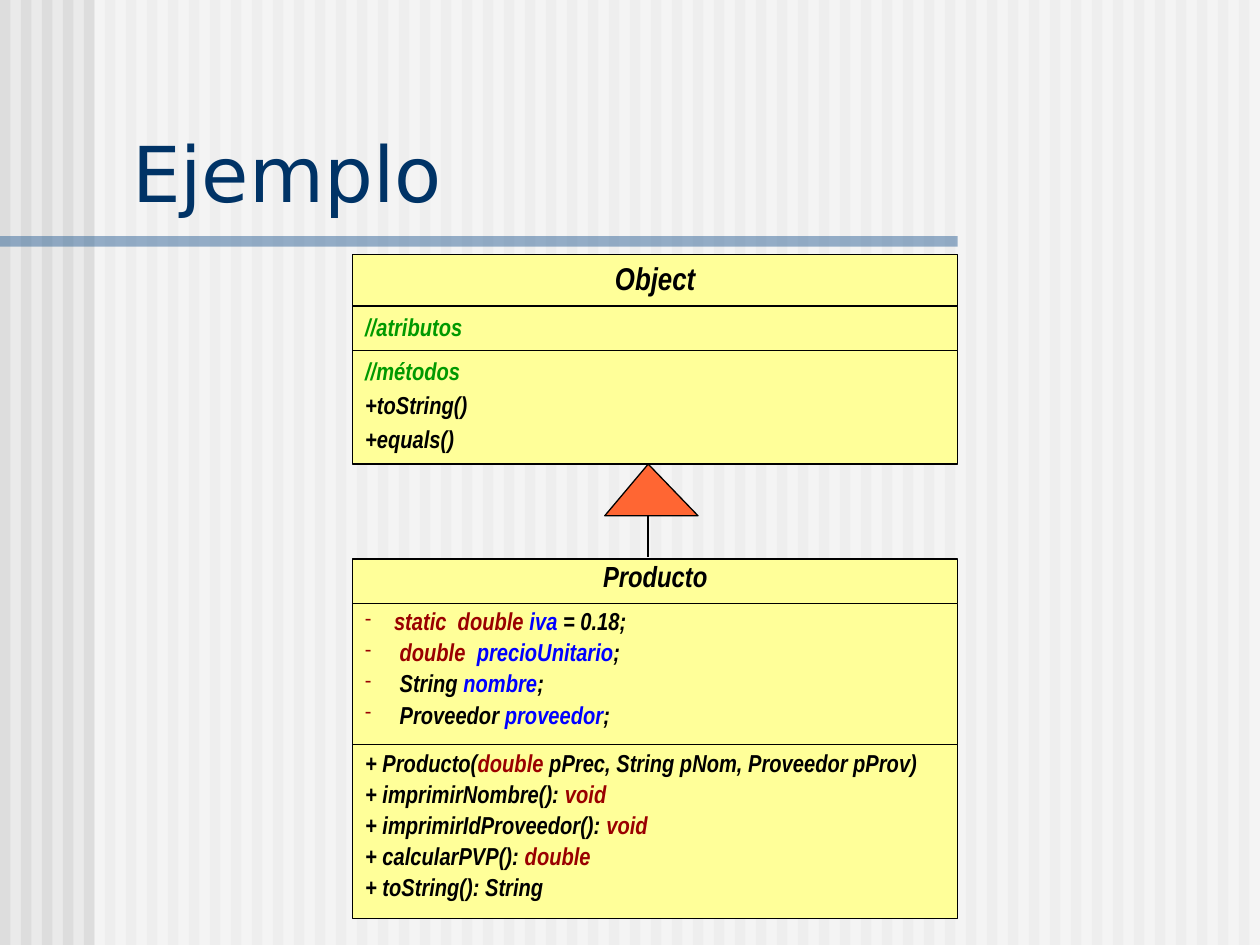
from lxml import etree
from pptx import Presentation
from pptx.dml.color import RGBColor
from pptx.enum.shapes import MSO_CONNECTOR, MSO_SHAPE
from pptx.enum.text import MSO_ANCHOR, PP_ALIGN
from pptx.oxml.ns import qn
from pptx.util import Pt

RECTANGLE = MSO_SHAPE.RECTANGLE
TRIANGLE = MSO_SHAPE.ISOSCELES_TRIANGLE
STRAIGHT = MSO_CONNECTOR.STRAIGHT
TOP, BOTTOM = MSO_ANCHOR.TOP, MSO_ANCHOR.BOTTOM
LEFT, CENTER = PP_ALIGN.LEFT, PP_ALIGN.CENTER

BACKGROUND = RGBColor(0xEA, 0xEA, 0xEA)
STRIPE = RGBColor(0xDD, 0xDD, 0xDD)
WHITE = RGBColor(0xFF, 0xFF, 0xFF)
BAR = RGBColor(0x33, 0x66, 0x99)
NAVY = RGBColor(0x00, 0x33, 0x66)
YELLOW = RGBColor(0xFF, 0xFF, 0x99)
ORANGE = RGBColor(0xFF, 0x66, 0x33)
BLACK = RGBColor(0, 0, 0)
GREEN = RGBColor(0x00, 0x99, 0x00)
RED = RGBColor(0x9A, 0, 0)
BLUE = RGBColor(0, 0, 0xFF)

WIDTH, HEIGHT = 720, 540
STRIPE_PITCH, STRIPE_WIDTH = 12, 6
CLASS_LEFT, CLASS_WIDTH = 201.6, 345.6


class ClassDiagram:
    title_font = "DejaVu Sans"
    code_font = "Arial Narrow"
    bullet_indent = 16.5

    def __init__(self, slide):
        self.slide = slide
        slide.background.fill.solid()
        slide.background.fill.fore_color.rgb = BACKGROUND

    def block(self, left, top, width, height, fill, outlined=False,
              opacity=None, kind=RECTANGLE):
        shape = self.slide.shapes.add_shape(
            kind, Pt(left), Pt(top), Pt(width), Pt(height))
        shape.shadow.inherit = False
        shape.fill.solid()
        shape.fill.fore_color.rgb = fill
        if opacity:
            color = shape.fill._xPr.find(".//" + qn("a:srgbClr"))
            etree.SubElement(color, qn("a:alpha"), val=str(opacity * 1000))
        if outlined:
            shape.line.color.rgb = BLACK
            shape.line.width = Pt(0.75)
        else:
            shape.line.fill.background()
        return shape

    def title(self, text, left, top, width, height):
        frame = self.slide.shapes.add_textbox(
            Pt(left), Pt(top), Pt(width), Pt(height)).text_frame
        frame.word_wrap = True
        frame.vertical_anchor = BOTTOM
        frame.text = text
        font = frame.paragraphs[0].font
        font.name, font.size, font.color.rgb = self.title_font, Pt(44), NAVY

    def compartment(self, top, height, lines, size=14, spacing=0.95,
                    align=LEFT, bulleted=False):
        """Draw one section of a class; each line is a list of (text, colour)."""
        frame = self.block(CLASS_LEFT, top, CLASS_WIDTH, height, YELLOW,
                           outlined=True).text_frame
        frame.word_wrap = True
        frame.vertical_anchor = TOP
        frame.margin_left = frame.margin_right = Pt(7.2)
        frame.margin_top, frame.margin_bottom = Pt(4.3), Pt(3.6)
        for index, line in enumerate(lines):
            paragraph = frame.add_paragraph() if index else frame.paragraphs[0]
            if bulleted:
                self.bullet(paragraph)
            paragraph.alignment = align
            paragraph.line_spacing = spacing
            if index:
                paragraph.space_before = Pt(3.5)
            for text, color in line:
                run = paragraph.add_run()
                run.text = text
                font = run.font
                font.name, font.size, font.color.rgb = self.code_font, Pt(size), color
                font.bold = font.italic = True

    def bullet(self, paragraph):
        properties = paragraph._p.get_or_add_pPr()
        indent = Pt(self.bullet_indent)
        properties.set("marL", str(indent))
        properties.set("indent", str(-indent))
        color = etree.SubElement(properties, qn("a:buClr"))
        etree.SubElement(color, qn("a:srgbClr"), val=str(RED))
        etree.SubElement(properties, qn("a:buSzPct"), val="75000")
        etree.SubElement(properties, qn("a:buChar"), char="-")

    def line(self, x1, y1, x2, y2, width):
        connector = self.slide.shapes.add_connector(
            STRAIGHT, Pt(x1), Pt(y1), Pt(x2), Pt(y2))
        connector.line.color.rgb = BLACK
        connector.line.width = Pt(width)
        etree.SubElement(connector._element.spPr, qn("a:effectLst"))


def main():
    presentation = Presentation()
    presentation.slide_width, presentation.slide_height = Pt(WIDTH), Pt(HEIGHT)
    diagram = ClassDiagram(
        presentation.slides.add_slide(presentation.slide_layouts[6]))

    for left in range(0, WIDTH, STRIPE_PITCH):
        diagram.block(left, 0, STRIPE_WIDTH, HEIGHT, STRIPE)
    diagram.block(54, 0, WIDTH - 54, HEIGHT, WHITE, opacity=50)
    diagram.block(0, 135, 547.2, 6, BAR, opacity=50)
    diagram.title("Ejemplo", 68.4, 15, 643, 113)

    diagram.compartment(145.4, 29.6, [[("Object", BLACK)]], size=18, align=CENTER)
    diagram.compartment(175, 25.2, [[("//atributos", GREEN)]])
    diagram.compartment(200.2, 65, [
        [("//métodos", GREEN)],
        [("+toString()", BLACK)],
        [("+equals()", BLACK)],
    ])

    diagram.compartment(319.5, 25.2, [[("Producto", BLACK)]], size=16.6,
                        spacing=0.75, align=CENTER)
    diagram.compartment(344.7, 80.8, [
        [("static  double ", RED), ("iva ", BLUE), ("= 0.18;", BLACK)],
        [(" double  ", RED), ("precioUnitario", BLUE), (";", BLACK)],
        [(" String ", BLACK), ("nombre", BLUE), (";", BLACK)],
        [(" Proveedor ", BLACK), ("proveedor", BLUE), (";", BLACK)],
    ], spacing=0.85, bulleted=True)
    diagram.compartment(425.5, 99.5, [
        [("+ Producto(", BLACK), ("double", RED),
         (" pPrec, String pNom, Proveedor pProv)", BLACK)],
        [("+ imprimirNombre(): ", BLACK), ("void", RED)],
        [("+ imprimirIdProveedor(): ", BLACK), ("void", RED)],
        [("+ calcularPVP(): ", BLACK), ("double", RED)],
        [("+ toString(): String", BLACK)],
    ], spacing=0.85)

    diagram.line(370.2, 294.7, 370.2, 318.5, 1.25)
    inheritance = diagram.block(345.6, 265.2, 53.3, 29.5, ORANGE,
                                outlined=True, kind=TRIANGLE)
    inheritance.adjustments[0] = 0.466

    presentation.save("out.pptx")


if __name__ == "__main__":
    main()
